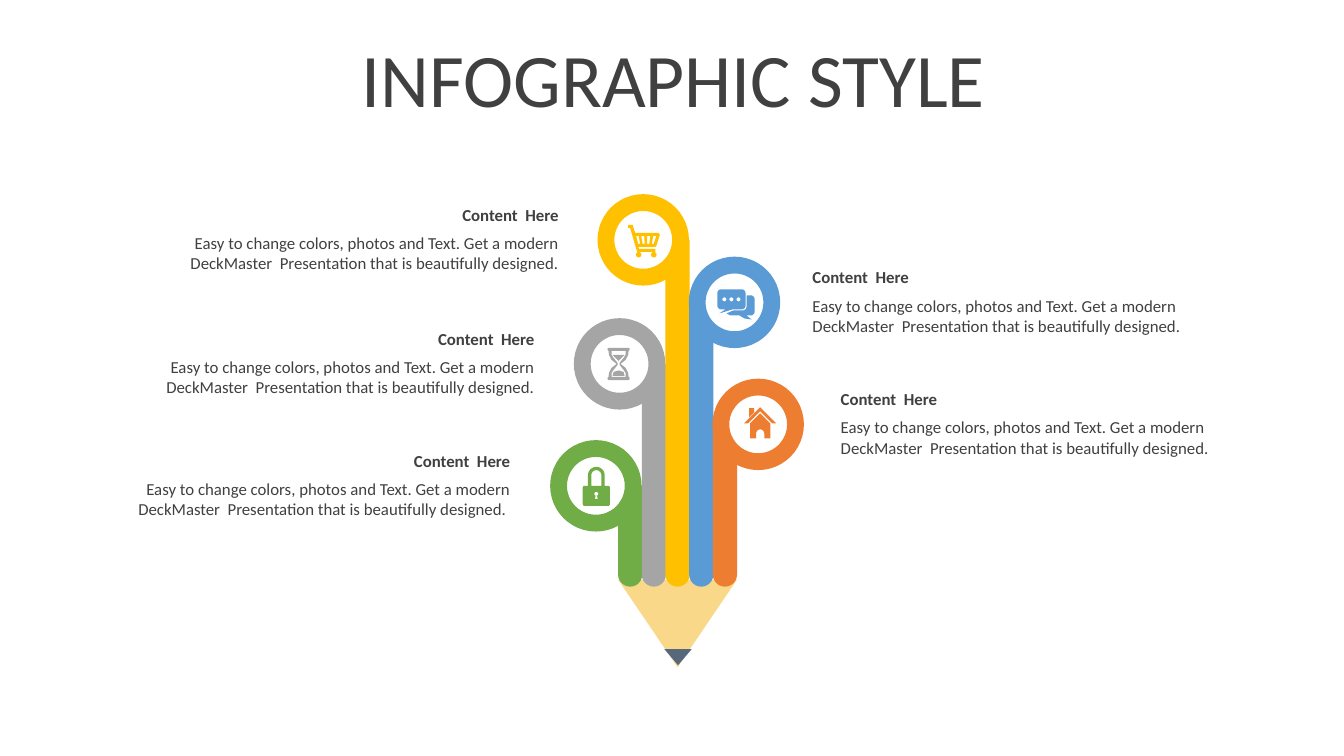
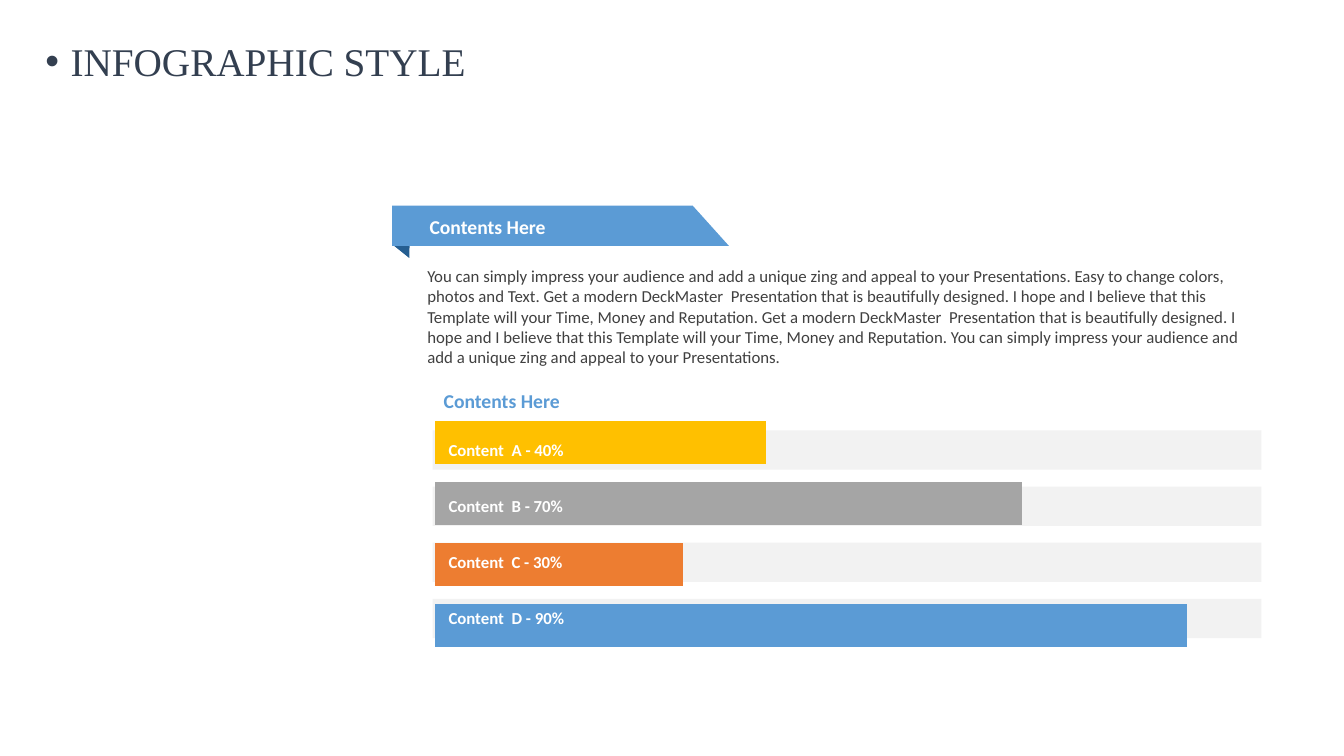
import math
from lxml import etree
from pptx import Presentation
from pptx import util as u
from pptx.chart.data import CategoryChartData
from pptx.dml.color import RGBColor
from pptx.enum import chart as charts, shapes, text
from pptx.oxml import parse_xml
from pptx.oxml.ns import nsdecls, qn

COLORS = {
    "ink": "404040", "navy": "333F50", "white": "FFFFFF", "track": "F2F2F2",
    "green": "70AD47", "gray": "A5A5A5", "yellow": "FFC000",
    "blue": "5B9BD5", "orange": "ED7D31", "fold": "255E91",
    "wood": "F5B317", "lead": "57687C",
}
BODY_FONT, SERIF_FONT = "Calibri", "Times New Roman"
TITLE = "INFOGRAPHIC STYLE"
TITLE_BOX = (0.35, 0.37, 12.66, 0.79)
BLURB = ("Easy to change colors, photos and Text. Get a modern "
         "DeckMaster  Presentation that is beautifully designed.")
HOPE = "I hope and I believe that this Template will your Time, Money and Reputation. "
IMPRESS = ("You can simply impress your audience and add a unique zing "
           "and appeal to your Presentations.")
MODERN = "Get a modern DeckMaster  Presentation that is beautifully designed. "
INTRO = (f"{IMPRESS} Easy to change colors, photos and Text. "
         f"{MODERN}{HOPE}{MODERN}{HOPE}{IMPRESS}")
MIDDLE, TOP = text.MSO_ANCHOR.MIDDLE, text.MSO_ANCHOR.TOP
LEFT, RIGHT, CENTER = text.PP_ALIGN.LEFT, text.PP_ALIGN.RIGHT, text.PP_ALIGN.CENTER


# Shared helpers
def rgb(name):
    return RGBColor.from_string(COLORS[name])


def inches(*lengths):
    return [u.Inches(length) for length in lengths]


def add_run(paragraph, words, size, color, font=BODY_FONT, bold=False):
    run = paragraph.add_run()
    run.text = words
    run.font.size = u.Pt(size)
    run.font.name = font
    run.font.bold = bold
    run.font.color.rgb = rgb(color)


def add_text(slide, box, words, size=12, color="ink", bold=False,
             align=LEFT, anchor=TOP, inset=0.1):
    frame = slide.shapes.add_textbox(*inches(*box)).text_frame
    frame.word_wrap = True
    frame.vertical_anchor = anchor
    frame.margin_left = u.Inches(inset)
    frame.paragraphs[0].alignment = align
    add_run(frame.paragraphs[0], words, size, color, bold=bold)


def paint(shape, color):
    shape.shadow.inherit = False
    shape.fill.solid()
    shape.fill.fore_color.rgb = rgb(color)
    shape.line.fill.background()
    return shape


def add_preset(slide, kind, box, color, rotation=0, adjust=()):
    shape = paint(slide.shapes.add_shape(kind, *inches(*box)), color)
    shape.rotation = rotation
    for index, value in enumerate(adjust):
        shape.adjustments[index] = value
    return shape


def add_outline(slide, left, top, contours, color):
    """Contours are in hundredths of an inch from (left, top)."""
    contours = [[(u.Inches(x / 100), u.Inches(y / 100)) for x, y in contour]
                for contour in contours]
    builder = slide.shapes.build_freeform(*contours[0][0], scale=1.0)
    builder.add_line_segments(contours[0][1:], close=True)
    for contour in contours[1:]:
        builder.move_to(*contour[0])
        builder.add_line_segments(contour[1:], close=True)
    paint(builder.convert_to_shape(*inches(left, top)), color)


def add_title(slide, size, color, font, align, anchor):
    title = slide.shapes.title
    title.left, title.top, title.width, title.height = inches(*TITLE_BOX)
    frame = title.text_frame
    frame.auto_size = text.MSO_AUTO_SIZE.NONE
    frame.word_wrap = True
    frame.vertical_anchor = anchor
    paragraph = frame.paragraphs[0]
    paragraph.alignment = align
    add_run(paragraph, TITLE, size, color, font)
    return paragraph


def add_bullet(paragraph, indent):
    props = paragraph._p.get_or_add_pPr()
    props.set("marL", str(u.Inches(indent)))
    props.set("indent", str(-u.Inches(indent)))
    etree.SubElement(props, qn("a:buFont")).set("typeface", "Arial")
    etree.SubElement(props, qn("a:buChar")).set("char", "•")


# Icon outlines
def arc(cx, cy, rx, ry, start, end, steps=12):
    angles = [math.radians(start + (end - start) * i / steps) for i in range(steps + 1)]
    return [(cx + rx * math.cos(a), cy + ry * math.sin(a)) for a in angles]


def circle(cx, cy, r):
    return arc(cx, cy, r, r, 0, 360, 24)[:-1]


def round_rect(left, top, right, bottom, r):
    return (arc(left + r, top + r, r, r, 180, 270)
            + arc(right - r, top + r, r, r, 270, 360)
            + arc(right - r, bottom - r, r, r, 0, 90)
            + arc(left + r, bottom - r, r, r, 90, 180))


def mirrored(half, axis):
    return half + [(2 * axis - x, y) for x, y in reversed(half)]


LOCK = [
    round_rect(24, 37, 51, 57, 2),
    arc(37.5, 26.5, 8.3, 8.3, 180, 360) + [(45.8, 37), (42.5, 37)]
    + arc(37.5, 26.5, 5, 5, 360, 180) + [(32.5, 37), (29.2, 37)],
    circle(37.5, 45, 2),
    [(36.8, 47), (38.2, 47), (39, 50), (36, 50)],
]
HOURGLASS = [
    round_rect(25, 21, 47, 24, 1.5),
    round_rect(25, 50, 47, 53, 1.5),
    mirrored([(46, 24), (45.5, 28), (43, 33), (38, 37), (43, 41), (45.5, 46), (46, 50)], 36),
    mirrored([(43, 24), (43, 28), (41, 31), (37, 36), (37, 38), (41, 43), (43, 46), (43, 50)], 36),
    mirrored([(42, 28), (40, 30), (36, 34)], 36),
    mirrored([(36, 43.5), (41, 45), (42, 49)], 36),
]
CART = [
    [(22, 22), (26.5, 22), (29, 30), (52, 30), (53.5, 32), (50, 43), (49, 44), (32, 44),
     (33, 46), (49, 46), (49, 49), (31, 49), (24, 25), (22, 25)],
    circle(32.5, 51.7, 2.7),
    circle(47.5, 51.7, 2.7),
    [(30, 33), (32, 41), (34, 41), (32.5, 33)],
    [(35, 33), (36.5, 41), (38.5, 41), (38, 33)],
    [(41, 33), (41, 41), (43, 41), (44, 33)],
    [(47, 33), (45.5, 41), (47.5, 41), (50, 33)],
]
CHAT = [
    round_rect(20, 24, 48, 44, 4),
    [(28, 44), (35, 44), (22, 48)],
    *[circle(x, 34, 2) for x in (27, 34, 41)],
    [(49, 30)] + arc(53, 34, 4, 4, 270, 360) + arc(53, 46, 4, 4, 0, 90)
    + [(49, 50), (54, 54), (47, 53), (42, 50), (33, 50), (29, 48), (36, 45)]
    + arc(45, 41, 4, 4, 90, 0),
]
HOUSE = [
    [(39, 26), (49, 36), (49, 51), (43, 51)] + arc(39, 46, 4, 4, 0, -180)
    + [(35, 51), (29, 51), (29, 36)],
    [(28, 21), (33, 21), (33, 25), (28, 30)],
    [(39, 20), (55, 36), (51, 36), (39, 24), (27, 36), (23, 36)],
]

# Strands from left to right: color, icon, ring top, text left, side, text
STRANDS = [
    ("green", LOCK, 4.45, 0.95, RIGHT, BLURB + " "),
    ("gray", HOURGLASS, 3.84 - 0.6, 1.19, RIGHT, BLURB),
    ("yellow", CART, 2.01, 1.43, RIGHT, BLURB),
    ("blue", CHAT, 2.63, 7.96, LEFT, BLURB),
    ("orange", HOUSE, 3.84, 8.24, LEFT, BLURB),
]


# Pencil slide
def add_strand(slide, left, bottom, ring_top, align, color, icon):
    ring, width = 0.74, 0.24
    stem_top = ring_top + ring / 2
    add_preset(slide, shapes.MSO_SHAPE.ROUND_2_SAME_RECTANGLE,
               (left, stem_top, width, bottom - stem_top), color, 180, (0.5, 0))
    ring_left = left + (0.08 if align == LEFT else -0.59)
    disc = add_preset(slide, shapes.MSO_SHAPE.OVAL, (ring_left, ring_top, ring, ring), "white")
    disc.line.color.rgb = rgb(color)
    disc.line.width = u.Pt(12)
    add_outline(slide, ring_left, ring_top, icon, color)


def add_caption(slide, left, top, align, words):
    add_text(slide, (left, top, 4.21, 0.3), "Content  Here", bold=True,
             align=align, anchor=MIDDLE)
    add_text(slide, (left, top + 0.28, 4.21, 0.5), words, align=align)


def add_pencil(slide, left, bottom):
    wood = add_preset(slide, shapes.MSO_SHAPE.TRAPEZOID, (left, bottom - 0.87, 1.18, 0.87),
                      "wood", 180, (0.789,))
    tint = wood.fill._xPr.find(qn("a:solidFill"))[0]
    etree.SubElement(tint, qn("a:alpha")).set("val", "50000")
    add_preset(slide, shapes.MSO_SHAPE.ISOSCELES_TRIANGLE,
               (left + 0.46, bottom - 0.18, 0.27, 0.16), "lead", 180)
    for index, (color, icon, ring_top, text_left, align, words) in enumerate(STRANDS):
        add_strand(slide, left + 0.235 * index, bottom - 0.8, ring_top, align, color, icon)
        add_caption(slide, text_left, ring_top - 0.03, align, words)


def build_pencil_slide(slide):
    add_title(slide, 54, "ink", BODY_FONT, CENTER, MIDDLE)
    add_pencil(slide, 6.13, 6.62)


# Progress slide
def add_ribbon(slide, left, top):
    add_outline(slide, left, top, [[(18, 2), (1, 2), (2, 40), (17, 52)]], "fold")
    add_outline(slide, left, top, [[(0, 0), (298, 0), (334, 40), (0, 40)]], "blue")
    add_text(slide, (left + 0.25, top, 2.52, 0.41), "Contents Here", 14, "white",
             True, anchor=MIDDLE, inset=0.12)


def add_bar_chart(slide, box):
    data = CategoryChartData()
    data.categories = ["1", "2", "3", "4"]
    data.add_series("Series 1", (100, 33, 78, 44))
    chart = slide.shapes.add_chart(charts.XL_CHART_TYPE.BAR_STACKED, *inches(*box), data).chart
    chart.has_legend = chart.has_title = False
    chart.font.size, chart.font.name = u.Pt(12), BODY_FONT
    chart.font.color.rgb = RGBColor(0, 0, 0)
    for axis in (chart.category_axis, chart.value_axis):
        axis.has_major_gridlines = False
        axis.visible = False
    chart.value_axis.minimum_scale, chart.value_axis.maximum_scale = 0, 111
    plot = chart.plots[0]
    plot.gap_width, plot.overlap, plot.vary_by_categories = 40, 100, False
    series = plot.series[0]
    series.format.fill.solid()
    series.format.fill.fore_color.rgb = rgb("ink")
    for index, color in enumerate(("blue", "orange", "gray", "yellow")):
        fill = series.points[index].format.fill
        fill.solid()
        fill.fore_color.rgb = rgb(color)
    # Plot area fills the frame with an even margin
    area = chart._chartSpace.chart.plotArea
    for layout in area.findall(qn("c:layout")):
        area.remove(layout)
    parts = [("layoutTarget", "inner"), ("xMode", "edge"), ("yMode", "edge"),
             ("x", 0.02), ("y", 0.02), ("w", 0.96), ("h", 0.96)]
    tags = "".join(f'<c:{tag} val="{value}"/>' for tag, value in parts)
    area.insert(0, parse_xml(f"<c:layout {nsdecls('c')}><c:manualLayout>{tags}"
                             "</c:manualLayout></c:layout>"))


def add_progress(slide, left, top):
    pitch = 0.557
    labels = ("A - 40%", "B - 70%", "C - 30%", "D - 90%")
    for row in range(len(labels)):
        add_preset(slide, shapes.MSO_SHAPE.RECTANGLE,
                   (left, top + pitch * row, 8.22, 0.39), "track")
    add_bar_chart(slide, (left - 0.15, top - 0.23, 8.63, 2.52))
    for row, label in enumerate(labels):
        add_text(slide, (left + 0.06, top + 0.04 + pitch * row, 1.71, 0.3),
                 f"Content  {label}", color="white", bold=True, anchor=MIDDLE)
    add_text(slide, (left - 0.01, top - 0.45, 1.91, 0.31), "Contents Here", 14, "blue",
             True, anchor=MIDDLE, inset=0.12)


def build_progress_slide(slide):
    heading = add_title(slide, 28, "navy", SERIF_FONT, LEFT, TOP)
    heading.line_spacing = 0.9
    add_bullet(heading, 0.25)
    add_ribbon(slide, 3.89, 2.04)
    add_progress(slide, 4.29, 4.27)
    add_text(slide, (4.14, 2.59, 8.54, 1.11), INTRO)


def main():
    deck = Presentation()
    deck.slide_width, deck.slide_height = inches(13.33, 7.5)
    for build in (build_pencil_slide, build_progress_slide):
        build(deck.slides.add_slide(deck.slide_layouts[5]))
    deck.save("out.pptx")


if __name__ == "__main__":
    main()
